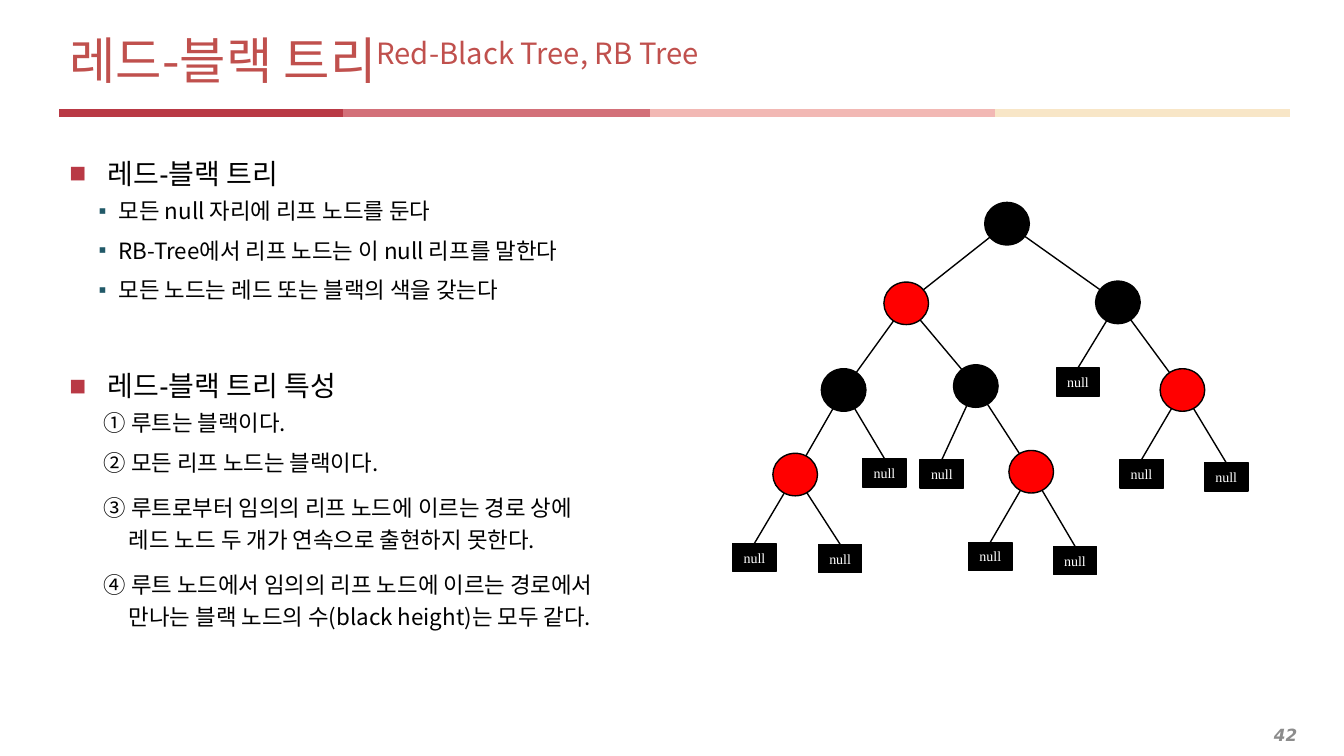
from dataclasses import dataclass
from itertools import pairwise
from math import hypot

from lxml.etree import SubElement
from pptx import Presentation
from pptx.dml.color import RGBColor
from pptx.enum.shapes import MSO_CONNECTOR, MSO_SHAPE
from pptx.enum.text import MSO_ANCHOR, MSO_AUTO_SIZE, PP_ALIGN
from pptx.oxml.ns import qn
from pptx.util import Pt


@dataclass(frozen=True)
class Theme:
    title: str = "C0504D"
    text: str = "000000"
    heading_bullet: str = "B93945"
    fact_bullet: str = "215968"
    page: str = "8C8C8C"
    black: str = "000000"
    red: str = "FF0000"
    white: str = "FFFFFF"
    band: tuple = ("B93945", "D37079", "F2B8B4", "F8E6C7")
    korean: str = "Noto Sans CJK KR"
    heading_font: str = "Arial"
    null_font: str = "Times New Roman"
    page_font: str = "DejaVu Sans"
    title_size: float = 36
    heading_size: float = 20
    body_size: float = 16
    page_size: float = 12
    null_size: float = 10


THEME = Theme()
NODE_W, NODE_H = 31.9, 30.4
NULL_W, NULL_H = 31, 20.2

FACTS = [
    "모든 null 자리에 리프 노드를 둔다",
    "RB-Tree에서 리프 노드는 이 null 리프를 말한다",
    "모든 노드는 레드 또는 블랙의 색을 갖는다",
]
PROPERTIES = [
    "① 루트는 블랙이다.",
    "② 모든 리프 노드는 블랙이다.",
    "③ 루트로부터 임의의 리프 노드에 이르는 경로 상에\v레드 노드 두 개가 연속으로 출현하지 못한다.",
    "④ 루트 노드에서 임의의 리프 노드에 이르는 경로에서\v만나는 블랙 노드의 수(black height)는 모두 같다.",
]

BLACK, RED = THEME.black, THEME.red
TREE = (196.3, 15.8, BLACK, [
    (124.3, 72.7, RED, [
        (79.6, 134.6, BLACK, [
            (45, 195, RED, [(15.9, 254.2), (77.1, 254.9)]),
            (108.8, 193.7),
        ]),
        (174, 131.8, BLACK, [
            (149.8, 194.4),
            (213.6, 193, RED, [(184.4, 253.4), (244.9, 256.3)]),
        ]),
    ]),
    (275.5, 72, BLACK, [
        (247, 128.9),
        (321.6, 134.6, RED, [(292.4, 194.4), (352.9, 196.6)]),
    ]),
])


def rgb(value):
    return RGBColor.from_string(value)


def style_runs(paragraph, font, size, color):
    for run in paragraph.runs:
        run.font.name = font
        run.font.size = Pt(size)
        run.font.color.rgb = rgb(color)
        SubElement(run.font._element, qn("a:ea"), typeface=THEME.korean)


def draw_line(slide, start, end, color, width):
    line = slide.shapes.add_connector(
        MSO_CONNECTOR.STRAIGHT, *(Pt(value) for value in (*start, *end)))
    line.line.color.rgb = rgb(color)
    line.line.width = Pt(width)
    SubElement(line._element.spPr, qn("a:effectLst"))
    return line


def draw_title(slide, left, top, width, height):
    title = slide.shapes.title
    title.left, title.top, title.width, title.height = map(Pt, (left, top, width, height))
    frame = title.text_frame
    frame.vertical_anchor = MSO_ANCHOR.MIDDLE
    frame.auto_size = MSO_AUTO_SIZE.NONE
    heading = frame.paragraphs[0]
    heading.alignment = PP_ALIGN.LEFT
    heading.add_run().text = "레드-블랙 트리"
    english = heading.add_run()
    english.text = "Red-Black Tree, RB Tree"
    style_runs(heading, THEME.korean, THEME.title_size, THEME.title)
    english.font._element.set("baseline", "30000")


def draw_band(slide, left, top, width):
    stops = [left + width * share for share in (0, 0.23, 0.48, 0.76, 1)]
    for color, (start, end) in zip(THEME.band, pairwise(stops)):
        draw_line(slide, (start, top), (end, top), color, 6)


def format_paragraph(paragraph, margin, indent, bullet, bullet_color, pitch, before, after):
    properties = paragraph._p.get_or_add_pPr()
    properties.set("marL", str(Pt(margin)))
    properties.set("indent", str(Pt(indent)))
    if bullet:
        color = SubElement(properties, qn("a:buClr"))
        SubElement(color, qn("a:srgbClr"), val=bullet_color)
        SubElement(properties, qn("a:buFont"), typeface=THEME.heading_font)
        SubElement(properties, qn("a:buChar"), char=bullet)
    paragraph.line_spacing = Pt(pitch)
    paragraph.space_before = Pt(before)
    paragraph.space_after = Pt(after)


def draw_body(slide, left, top, width, height):
    frame = slide.shapes.add_textbox(*map(Pt, (left, top, width, height))).text_frame
    frame.word_wrap = True
    sections = [("레드-블랙 트리", FACTS, "▪", 35.3, -14.4),
                ("레드-블랙 트리 특성", PROPERTIES, None, 42.5, -18)]
    for index, (name, items, bullet, margin, indent) in enumerate(sections):
        heading = frame.add_paragraph() if index else frame.paragraphs[0]
        heading.text = name
        format_paragraph(heading, 27.4, -27.4, "■", THEME.heading_bullet,
                         38, 27 * index, 2)
        style_runs(heading, THEME.heading_font, THEME.heading_size, THEME.text)
        for text in items:
            item = frame.add_paragraph()
            item.text = text
            format_paragraph(item, margin, indent, bullet, THEME.fact_bullet,
                             23 if "\v" in text else 19, 3.2, 6)
            style_runs(item, THEME.korean, THEME.body_size, THEME.text)


def draw_node(slide, preset, x, y, width, height, color):
    node = slide.shapes.add_shape(
        preset, Pt(x - width / 2), Pt(y - height / 2), Pt(width), Pt(height))
    node.shadow.inherit = False
    node.fill.solid()
    node.fill.fore_color.rgb = rgb(color)
    node.line.color.rgb = rgb(THEME.black)
    node.line.width = Pt(1)
    return node


def draw_null(slide, x, y):
    leaf = draw_node(slide, MSO_SHAPE.RECTANGLE, x, y, NULL_W, NULL_H, THEME.black)
    frame = leaf.text_frame
    frame.margin_left = frame.margin_right = frame.margin_top = frame.margin_bottom = 0
    frame.vertical_anchor = MSO_ANCHOR.MIDDLE
    label = frame.paragraphs[0]
    label.text = "null"
    label.alignment = PP_ALIGN.CENTER
    style_runs(label, THEME.null_font, THEME.null_size, THEME.white)
    return leaf


def draw_tree(slide, left, top, tree):
    x, y, color, children = tree
    x, y = left + x, top + y
    draw_node(slide, MSO_SHAPE.OVAL, x, y, NODE_W, NODE_H, color)
    for child in children:
        is_null = len(child) == 2
        child_x = left + child[0]
        child_y = top + child[1] - (NULL_H / 2 if is_null else 0)
        dx, dy = child_x - x, child_y - y
        reach = hypot(2 * dx / NODE_W, 2 * dy / NODE_H)
        trim_x, trim_y = dx / reach, dy / reach
        start = (x + trim_x, y + trim_y)
        if is_null:
            leaf = draw_null(slide, left + child[0], top + child[1])
            edge = draw_line(slide, start, (child_x, child_y), THEME.black, 1)
            edge.end_connect(leaf, 0)
        else:
            draw_line(slide, start, (child_x - trim_x, child_y - trim_y), THEME.black, 1)
            draw_tree(slide, left, top, child)


def draw_page_number(slide, left, top, width, height):
    frame = slide.shapes.add_textbox(*map(Pt, (left, top, width, height))).text_frame
    frame.word_wrap = True
    frame.vertical_anchor = MSO_ANCHOR.MIDDLE
    number = frame.paragraphs[0]
    number.text = "42"
    number.alignment = PP_ALIGN.RIGHT
    style_runs(number, THEME.page_font, THEME.page_size, THEME.page)
    number.runs[0].font.bold = number.runs[0].font.italic = True


def main():
    deck = Presentation()
    deck.slide_width, deck.slide_height = Pt(960), Pt(540)
    slide = deck.slides.add_slide(deck.slide_layouts[5])
    draw_page_number(slide, 14.4, 514, 919.4, 22.3)
    draw_band(slide, 42.5, 80.6, 879)
    draw_title(slide, 42.5, 18, 879, 49)
    draw_body(slide, 42.5, 94.3, 879, 424.8)
    draw_tree(slide, 523, 144, TREE)
    deck.save("out.pptx")


if __name__ == "__main__":
    main()
